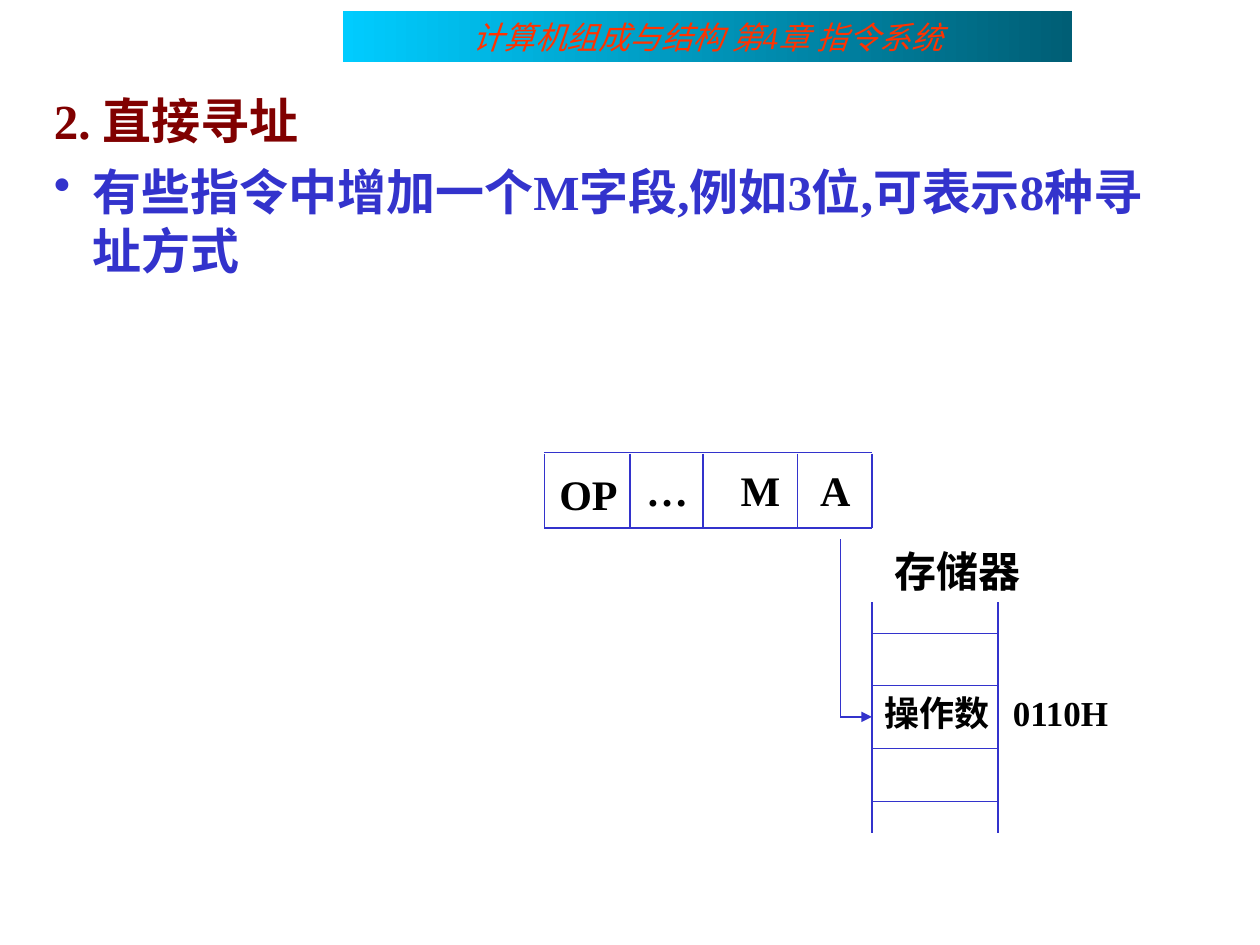
"""Build the direct addressing slide with its instruction and memory diagram."""
from lxml import etree
from pptx import Presentation
from pptx import util as u
from pptx.dml.color import RGBColor
from pptx.enum import shapes, text
from pptx.oxml import ns

BLUE = "3333CC"


def add_text(tf, content, size=24, color="000000", bold=True, italic=False,
             align=text.PP_ALIGN.LEFT, before=0, hanging=0, bullet=None, tabs=()):
    tf.word_wrap = True
    p = tf.paragraphs[0] if not tf.text else tf.add_paragraph()
    p.alignment, p.space_before = align, u.Pt(before)
    pPr = p._p.get_or_add_pPr()
    if hanging:
        pPr.set("marL", str(u.Inches(hanging)))
        pPr.set("indent", str(-u.Inches(hanging)))
    if bullet:
        clr = etree.SubElement(pPr, ns.qn("a:buClr"))
        etree.SubElement(clr, ns.qn("a:srgbClr"), val=color)
        etree.SubElement(pPr, ns.qn("a:buChar"), char=bullet)
    if tabs:
        lst = etree.SubElement(pPr, ns.qn("a:tabLst"))
        for pos in tabs:
            etree.SubElement(lst, ns.qn("a:tab"), pos=str(u.Inches(pos)), algn="l")
    r = p.add_run()
    r.text = content
    r.font.name, r.font.size = "Times New Roman", u.Pt(size)
    r.font.bold, r.font.italic = bold, italic
    r.font.color.rgb = RGBColor.from_string(color)


def add_line(s, x1, y1, x2, y2, arrow=False):
    sp = s.shapes.add_connector(shapes.MSO_CONNECTOR.STRAIGHT,
                                *(u.Inches(v) for v in (x1, y1, x2, y2)))
    sp.line.color.rgb = RGBColor.from_string(BLUE)
    sp.line.width = u.Pt(0.75)
    if arrow:
        etree.SubElement(sp.line._get_or_add_ln(), ns.qn("a:tailEnd"), type="triangle")
    etree.SubElement(sp._element.spPr, ns.qn("a:effectLst"))


prs = Presentation()
prs.slide_width, prs.slide_height = u.Inches(10), u.Inches(7.5)
s = prs.slides.add_slide(prs.slide_layouts[6])

banner = s.shapes.add_shape(shapes.MSO_SHAPE.RECTANGLE, u.Inches(2.72), u.Inches(0.09),
                            u.Inches(5.79), u.Inches(0.4))
banner.shadow.inherit = False
banner.line.fill.background()
banner.fill.gradient()
banner.fill.gradient_angle = 0
for stop, color in zip(banner.fill.gradient_stops, ("00CCFF", "005E75")):
    stop.color.rgb = RGBColor.from_string(color)
add_text(banner.text_frame, "计算机组成与结构 第4章 指令系统", size=18, color="FF3300",
         bold=False, italic=True, align=text.PP_ALIGN.CENTER)

body = s.shapes.add_textbox(u.Inches(0.33), u.Inches(0.67), u.Inches(9.17), u.Inches(6.42))
add_text(body.text_frame, "2. 直接寻址", size=28, color="800000", hanging=0.31)
add_text(body.text_frame, "有些指令中增加一个M字段,例如3位,可表示8种寻址方式", size=28,
         color=BLUE, before=7, hanging=0.31, bullet="•")

for x in (4.32, 5, 5.58, 6.33, 6.92):
    add_line(s, x, 3.6, x, 4.19)
for y in (3.59, 4.19):
    add_line(s, 4.32, y, 6.92, y)

for x in (6.92, 7.92):
    add_line(s, x, 4.78, x, 6.61)
for y in (5.03, 5.44, 5.94, 6.36):
    add_line(s, 6.92, y, 7.92, y)

add_line(s, 6.67, 4.28, 6.67, 5.69)
add_line(s, 6.67, 5.69, 6.92, 5.69, arrow=True)

labels = [
    ("OP", 4.34, 3.67, 0.92, 0.5, 24, ()),
    ("…\tM\tA", 5.03, 3.64, 1.92, 0.5, 24, (0.75, 1.38)),
    ("存储器", 7, 4.28, 1.25, 0.5, 24, ()),
    ("操作数\t0110H", 6.92, 5.44, 2, 0.44, 20, (1.02,)),
]
for content, x, y, w, h, size, tabs in labels:
    sp = s.shapes.add_textbox(u.Inches(x), u.Inches(y), u.Inches(w), u.Inches(h))
    add_text(sp.text_frame, content, size=size, tabs=tabs)

prs.save("out.pptx")
